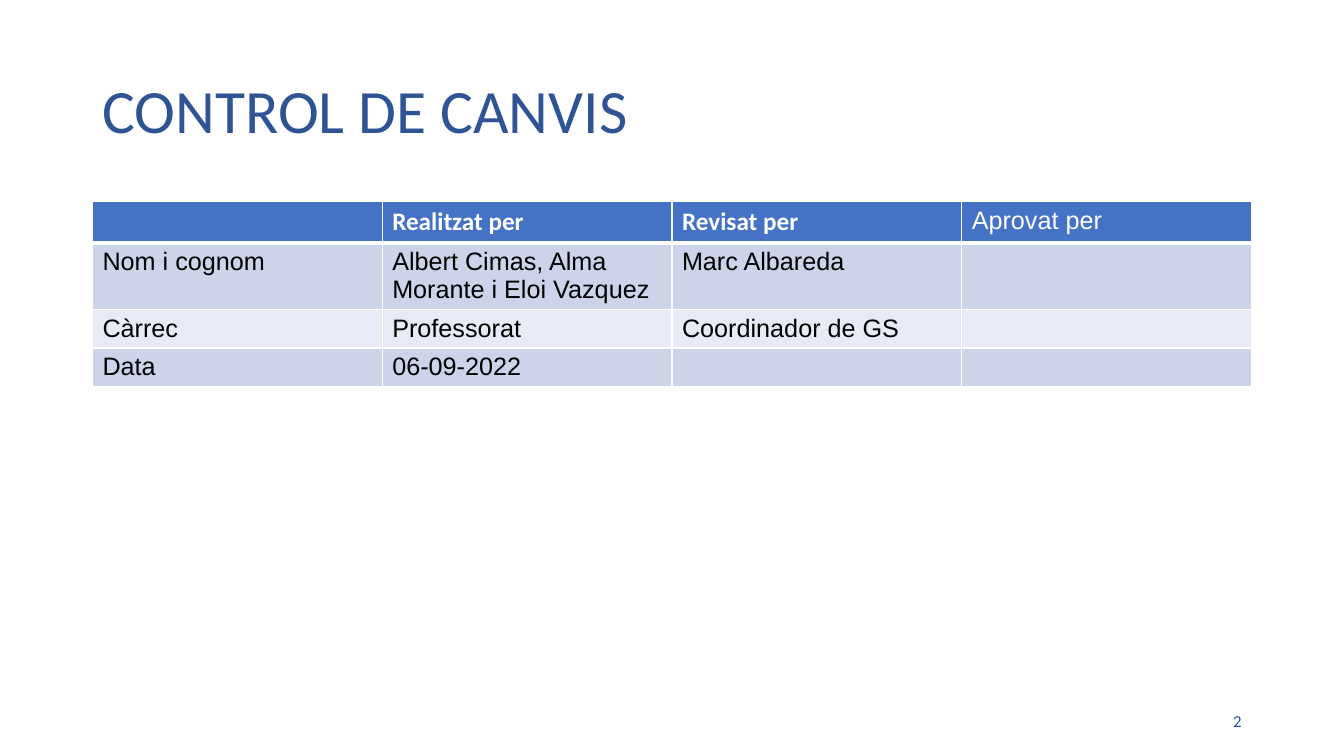
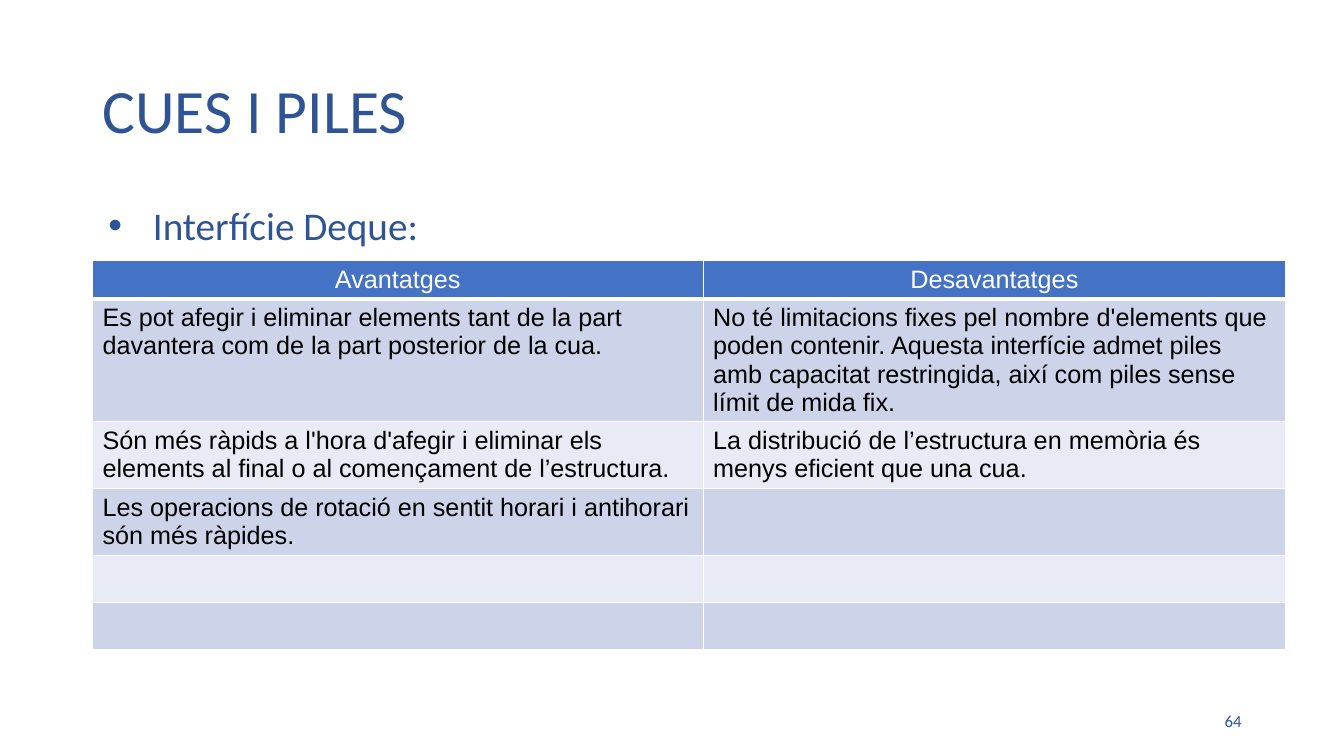
from pptx import Presentation
from pptx.dml.color import RGBColor
from pptx.enum.text import MSO_ANCHOR, MSO_AUTO_SIZE, PP_ALIGN
from pptx.oxml import parse_xml
from pptx.oxml.ns import nsdecls
from pptx.util import Cm, Pt

NAVY = RGBColor(0x2F, 0x54, 0x96)
BLUE = RGBColor(0x44, 0x72, 0xC4)
DARK = RGBColor(0xCD, 0xD4, 0xEA)
PALE = RGBColor(0xE8, 0xEB, 0xF5)
WHITE = RGBColor(0xFF, 0xFF, 0xFF)
BLACK = RGBColor(0, 0, 0)
HEAD = "Calibri"
TEXT = "Arial"
LEFT, WIDE = 2.33, 29.21
TOP = 5.08
THIN, THICK = Pt(0.96), Pt(3)


def place(shape, left, top, width, height):
    shape.left, shape.top = Cm(left), Cm(top)
    shape.width, shape.height = Cm(width), Cm(height)


def style(para, size, face, color, align=PP_ALIGN.LEFT, bold=False):
    para.alignment = align
    font = para.font
    font.size, font.name, font.bold = Pt(size), face, bold
    font.color.rgb = color


def write(shape, text, anchor):
    frame = shape.text_frame
    frame.text = text
    frame.word_wrap = True
    frame.auto_size = MSO_AUTO_SIZE.NONE
    frame.vertical_anchor = anchor
    return frame.paragraphs[0]


def add_page(deck, layout, title, number):
    slide = deck.slides.add_slide(deck.slide_layouts.get_by_name(layout))
    place(slide.shapes.title, LEFT, 1.02, WIDE, 3.68)
    para = write(slide.shapes.title, title, MSO_ANCHOR.MIDDLE)
    para.line_spacing = 0.9
    style(para, 44, HEAD, NAVY)
    box = slide.shapes.add_textbox(Cm(23.92), Cm(17.65), Cm(7.62), Cm(1.02))
    para = write(box, number, MSO_ANCHOR.MIDDLE)
    style(para, 12, HEAD, NAVY, PP_ALIGN.RIGHT)
    return slide


def add_list(slide, text):
    body = slide.placeholders[1]
    place(body, LEFT, TOP, WIDE, 12.09)
    para = write(body, text, MSO_ANCHOR.TOP)
    para.line_spacing = 0.9
    para.space_before = Pt(0)
    props = para._p.get_or_add_pPr()
    props.set("marL", str(Cm(1.27)))
    props.set("indent", str(Cm(-1.12)))
    for mark in (
        f'<a:buClr {nsdecls("a")}><a:srgbClr val="{NAVY}"/></a:buClr>',
        f'<a:buFont {nsdecls("a")} typeface="{TEXT}"/>',
        f'<a:buChar {nsdecls("a")} char="•"/>',
    ):
        props.append(parse_xml(mark))
    style(para, 28, HEAD, NAVY)


def edge(cell, row):
    props = cell._tc.get_or_add_tcPr()
    widths = {
        "lnL": THIN,
        "lnR": THIN,
        "lnT": THICK if row == 1 else THIN,
        "lnB": THICK if row == 0 else THIN,
    }
    for tag, width in widths.items():
        props.append(parse_xml(
            f'<a:{tag} {nsdecls("a")} w="{width}"><a:solidFill>'
            f'<a:srgbClr val="{WHITE}"/></a:solidFill></a:{tag}>'))


def add_grid(slide, top, cols, rows, cells, align=PP_ALIGN.LEFT, strong=()):
    table = slide.shapes.add_table(
        len(rows), len(cols), Cm(LEFT), Cm(top),
        Cm(sum(cols)), Cm(sum(rows))).table
    table.first_row = table.horz_banding = False
    for col, width in zip(table.columns, cols):
        col.width = Cm(width)
    for row, height in zip(table.rows, rows):
        row.height = Cm(height)
    for r, line in enumerate(cells):
        for c, text in enumerate(line):
            cell = table.cell(r, c)
            edge(cell, r)
            cell.fill.solid()
            cell.fill.fore_color.rgb = BLUE if r == 0 else DARK if r % 2 else PALE
            cell.text = text
            para = cell.text_frame.paragraphs[0]
            if r == 0:
                bold = text in strong
                style(para, 18, HEAD if bold else TEXT, WHITE, align, bold)
            else:
                style(para, 18, TEXT, BLACK)


def main():
    deck = Presentation()
    deck.slide_width, deck.slide_height = Cm(33.87), Cm(19.05)

    slide = add_page(deck, "Title Only", "CONTROL DE CANVIS", "2")
    add_grid(slide, TOP, [WIDE / 4] * 4, [1.04, 1.68, 0.97, 0.97], [
        ["", "Realitzat per", "Revisat per", "Aprovat per"],
        ["Nom i cognom", "Albert Cimas, Alma Morante i Eloi Vazquez",
         "Marc Albareda", ""],
        ["Càrrec", "Professorat", "Coordinador de GS", ""],
        ["Data", "06-09-2022", "", ""],
    ], strong=("Realitzat per", "Revisat per"))

    slide = add_page(deck, "Title and Content", "CUES I PILES", "64")
    add_list(slide, "Interfície Deque:")
    add_grid(slide, 6.56, [15.39, 14.68], [0.97, 3.1, 1.68, 1.68, 1.19, 1.19], [
        ["Avantatges", "Desavantatges"],
        ["Es pot afegir i eliminar elements tant de la part davantera com "
         "de la part posterior de la cua.",
         "No té limitacions fixes pel nombre d'elements que poden contenir. "
         "Aquesta interfície admet piles amb capacitat restringida, així com "
         "piles sense límit de mida fix."],
        ["Són més ràpids a l'hora d'afegir i eliminar els elements al final "
         "o al començament de l’estructura.",
         "La distribució de l’estructura en memòria és menys eficient que "
         "una cua."],
        ["Les operacions de rotació en sentit horari i antihorari són més "
         "ràpides.", ""],
        ["", ""],
        ["", ""],
    ], align=PP_ALIGN.CENTER)

    deck.save("out.pptx")


if __name__ == "__main__":
    main()
